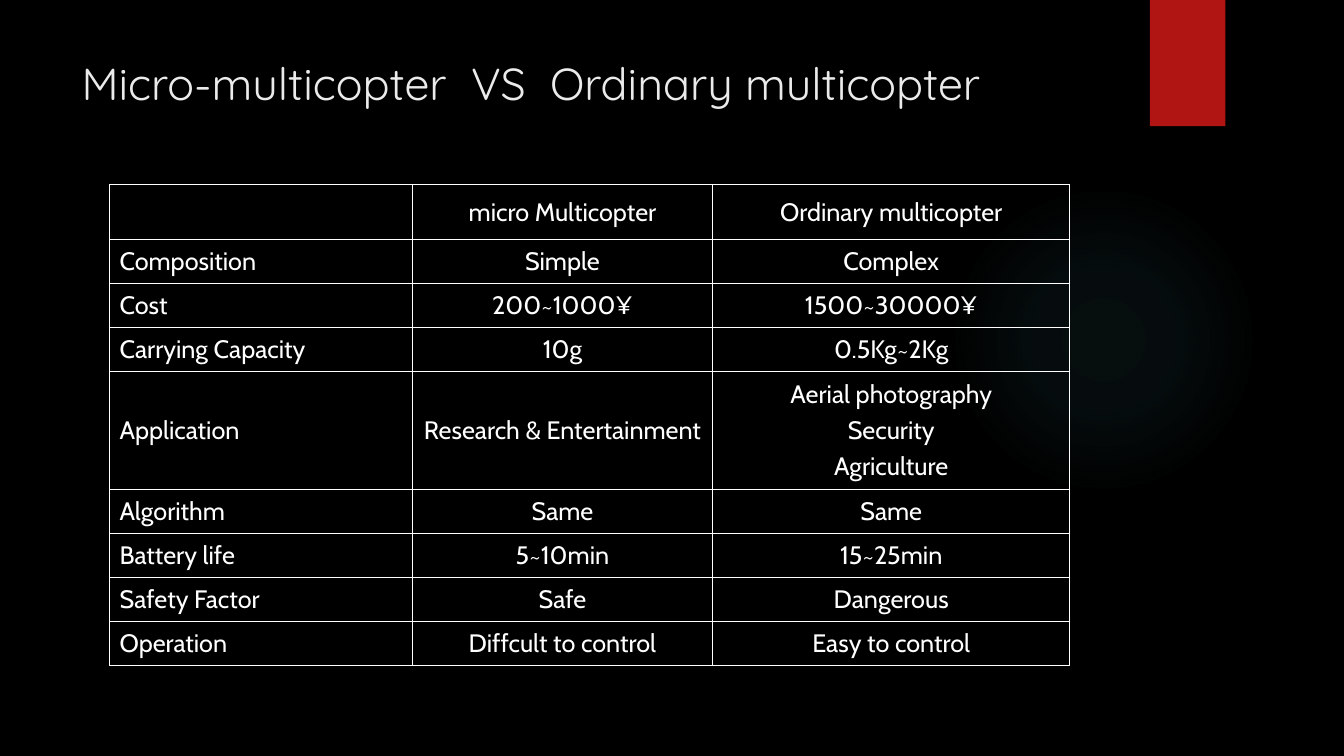
import pptx
import pptx.dml.color
import pptx.enum.shapes
import pptx.enum.text
import pptx.oxml
import pptx.oxml.ns
import pptx.util
from pptx.util import Cm, Pt

NAMESPACE = pptx.oxml.ns.nsdecls("a")


def color(hex_text):
    return pptx.dml.color.RGBColor.from_string(hex_text)


def write(para, text, font_name, size, hex_text):
    span = para.add_run()
    span.text = text
    span.font.name = font_name
    span.font.size = Pt(size)
    span.font.color.rgb = color(hex_text)


deck = pptx.Presentation()
deck.slide_width = Cm(33.87)
deck.slide_height = Cm(19.05)
page = deck.slides.add_slide(deck.slide_layouts[5])
page.background.fill.solid()
page.background.fill.fore_color.rgb = color("000000")

# Soft glow on the right
glow = page.shapes.add_shape(
    pptx.enum.shapes.MSO_SHAPE.OVAL, Cm(23.9), Cm(4.65), Cm(7.82), Cm(7.82))
glow.shadow.inherit = False
glow.line.fill.background()
stops = "".join(
    f'<a:gs pos="{position * 1000}"><a:srgbClr val="50B9C1">'
    f'<a:alpha val="{opacity * 1000}"/></a:srgbClr></a:gs>'
    for position, opacity in [(0, 7), (36, 6), (69, 0), (100, 0)])
gradient = pptx.oxml.parse_xml(
    f'<a:gradFill {NAMESPACE}><a:gsLst>{stops}</a:gsLst><a:path path="circle">'
    '<a:fillToRect l="50000" t="50000" r="50000" b="50000"/></a:path></a:gradFill>')
glow.element.spPr.find(pptx.oxml.ns.qn("a:prstGeom")).addnext(gradient)

# Red tab at the top
tab = page.shapes.add_shape(
    pptx.enum.shapes.MSO_SHAPE.RECTANGLE, Cm(28.98), Cm(0), Cm(1.9), Cm(3.18))
tab.shadow.inherit = False
tab.fill.solid()
tab.fill.fore_color.rgb = color("B01513")
tab.line.fill.background()

# Title
title = page.shapes.title
title.left, title.top, title.width, title.height = Cm(1.8), Cm(1.27), Cm(26.14), Cm(2.08)
title.text_frame.vertical_anchor = pptx.enum.text.MSO_ANCHOR.TOP
title_para = title.text_frame.paragraphs[0]
title_para.alignment = pptx.enum.text.PP_ALIGN.LEFT
write(title_para, "Micro-multicopter  VS  Ordinary multicopter", "Quicksand", 32, "EBEBEB")

# Comparison table
comparison = [
    ("", "micro Multicopter", "Ordinary multicopter"),
    ("Composition", "Simple", "Complex"),
    ("Cost", "200~1000¥", "1500~30000¥"),
    ("Carrying Capacity", "10g", "0.5Kg~2Kg"),
    ("Application", "Research & Entertainment",
     "Aerial photography\nSecurity\nAgriculture"),
    ("Algorithm", "Same", "Same"),
    ("Battery life", "5~10min", "15~25min"),
    ("Safety Factor", "Safe", "Dangerous"),
    ("Operation", "Diffcult to control", "Easy to control"),
]
column_widths = [7.63, 7.57, 9]
special_heights = {0: 1.39, 4: 2.96}

table = page.shapes.add_table(
    len(comparison), len(column_widths), Cm(2.76), Cm(4.65), Cm(24.2), Cm(12.11)).table
table.first_row = False
table.horz_banding = False
for column, width in zip(table.columns, column_widths):
    column.width = Cm(width)

for row_index, entries in enumerate(comparison):
    table.rows[row_index].height = Cm(special_heights.get(row_index, 1.11))
    for column_index, entry in enumerate(entries):
        cell = table.cell(row_index, column_index)
        cell.fill.background()
        cell.vertical_anchor = pptx.enum.text.MSO_ANCHOR.MIDDLE
        properties = cell._tc.get_or_add_tcPr()
        for order, side in enumerate("LRTB"):
            properties.insert(order, pptx.oxml.parse_xml(
                f'<a:ln{side} {NAMESPACE} w="12700"><a:solidFill>'
                f'<a:srgbClr val="FFFFFF"/></a:solidFill></a:ln{side}>'))
        if not entry:
            continue
        for line_index, line in enumerate(entry.split("\n")):
            if line_index == 0:
                para = cell.text_frame.paragraphs[0]
            else:
                para = cell.text_frame.add_paragraph()
                para.space_before = Pt(3.6)
            if column_index > 0:
                para.alignment = pptx.enum.text.PP_ALIGN.CENTER
            write(para, line, "Cabin", 18, "FFFFFF")

deck.save("out.pptx")
